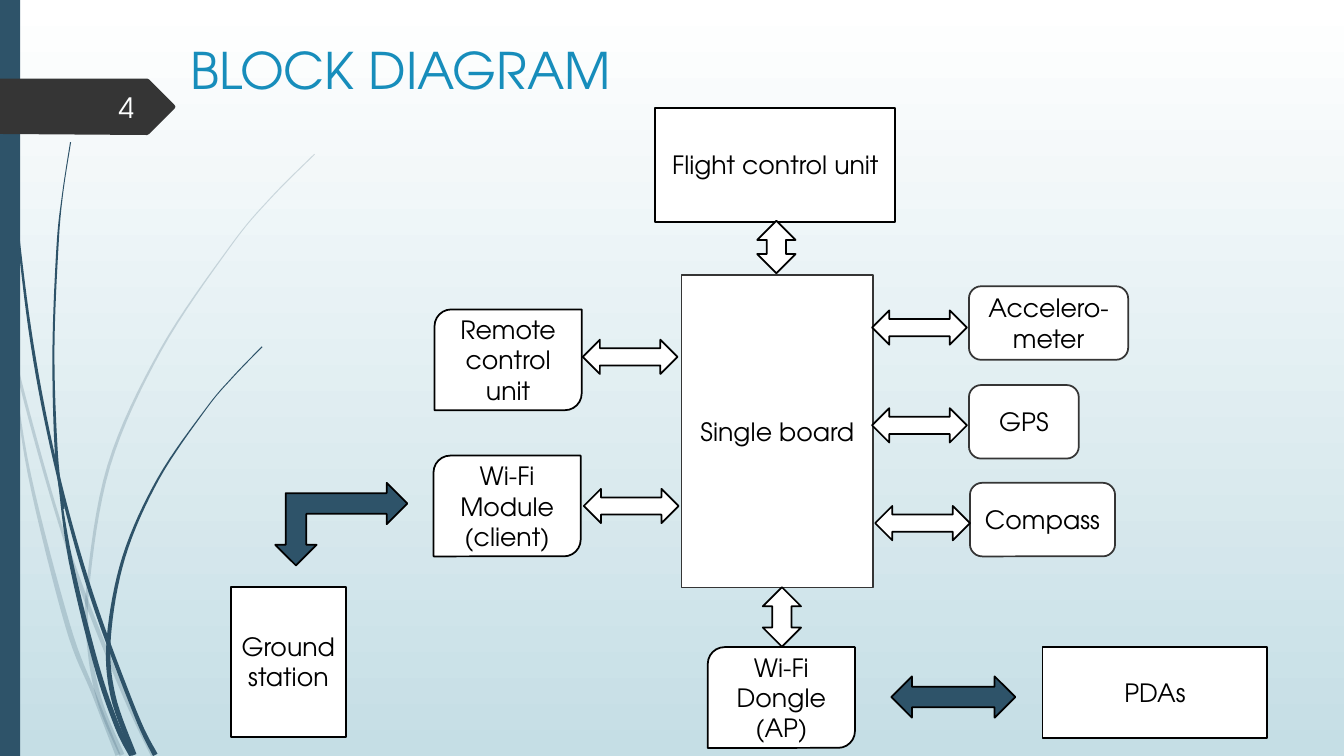
"""Builds the block diagram slide of a remote-controlled drone."""
import math

import pptx
import pptx.dml.color
import pptx.enum.shapes
import pptx.enum.text
import pptx.util
from lxml import etree

PX = 9144
WIDTH, HEIGHT = 1333, 750
FONT = "TeX Gyre Adventor"
NAVY, CHARCOAL, BLACK, WHITE = "2E5369", "353535", "000000", "FFFFFF"
BACKGROUND = ["FFFFFF", "C5DEE5"]

# Each strand lists (x, y, thickness) along its centre line.
PALE_STRANDS = [
    [(0, 290, 4), (13, 350, 3), (35, 435, 3), (60, 521, 3), (86, 597, 4), (125, 693, 4), (152, 749, 5)],
    [(11, 350, 1), (29, 470, 3), (67, 620, 5), (93, 688, 4), (117, 749, 5)],
    [(312, 153, 1), (268, 197, 1), (228, 245, 1), (159, 348, 2), (108, 462, 3),
     (87, 584, 3), (89, 646, 4), (100, 699, 5), (121, 749, 5)],
]
DARK_STRANDS = [
    [(4, 0, 1), (8, 110, 1), (18, 232, 2), (34, 355, 3), (58, 473, 3), (91, 591, 4), (134, 707, 4), (154, 749, 5)],
    [(58, 477, 1), (70, 556, 4), (95, 658, 5), (116, 720, 5), (131, 749, 6)],
    [(70, 141, 1), (62, 193, 1), (57, 245, 2), (53, 349, 2), (56, 451, 3), (63, 505, 2)],
    [(260, 344, 1), (231, 374, 1), (204, 406, 1), (157, 475, 2), (123, 552, 3),
     (108, 632, 4), (112, 690, 5), (133, 749, 5)],
]
PAGE_TAG = [(0, 78), (146, 78), (148, 79), (173, 104), (174, 106), (173, 108),
            (148, 133), (146, 134), (0, 133)]

BLOCKS = [
    ("Single board", "RECTANGLE", (676, 273, 190, 310), CHARCOAL),
    ("Accelero- meter", "ROUNDED_RECTANGLE", (961, 284, 158, 73), CHARCOAL),
    ("GPS", "ROUNDED_RECTANGLE", (961, 382, 109, 73), CHARCOAL),
    ("Compass", "ROUNDED_RECTANGLE", (962, 479, 144, 73), CHARCOAL),
    ("Flight control unit", "RECTANGLE", (650, 107, 238, 113), BLACK),
    ("Remote control unit", "ROUND_2_DIAG_RECTANGLE", (431, 307, 146, 100), BLACK),
    ("Wi-Fi Dongle\n(AP)", "ROUND_2_DIAG_RECTANGLE", (702, 642, 146, 100), BLACK),
    ("Wi-Fi Module\n(client)", "ROUND_2_DIAG_RECTANGLE", (430, 452, 146, 100), BLACK),
    ("Ground\nstation", "RECTANGLE", (229, 582, 114, 149), BLACK),
    ("PDAs", "RECTANGLE", (1034, 642, 223, 90), BLACK),
]
ARROWS = [
    ("LEFT_RIGHT_ARROW", (744, 226, 52, 38), 90, WHITE),
    ("LEFT_RIGHT_ARROW", (746, 593, 59, 38), 90, WHITE),
    ("LEFT_RIGHT_ARROW", (578, 337, 94, 34), 0, WHITE),
    ("LEFT_RIGHT_ARROW", (579, 485, 94, 34), 0, WHITE),
    ("LEFT_RIGHT_ARROW", (865, 308, 94, 34), 0, WHITE),
    ("LEFT_RIGHT_ARROW", (865, 405, 94, 34), 0, WHITE),
    ("LEFT_RIGHT_ARROW", (868, 502, 94, 34), 0, WHITE),
    ("LEFT_RIGHT_ARROW", (884, 671, 123, 41), 0, NAVY),
    ("LEFT_UP_ARROW", (273, 479, 131, 82), 180, NAVY),
]


def rgb(value):
    return pptx.dml.color.RGBColor.from_string(value)


def emu(box):
    return [round(v * PX) for v in box]


def paint(sp, fill, line=None, alpha=None):
    sp.shadow.inherit = False
    sp.fill.solid()
    sp.fill.fore_color.rgb = rgb(fill)
    if alpha:
        color = sp.fill._xPr.find(".//" + pptx.oxml.ns.qn("a:srgbClr"))
        etree.SubElement(color, pptx.oxml.ns.qn("a:alpha"), val=str(alpha * 1000))
    if line:
        sp.line.color.rgb = rgb(line)
        sp.line.width = pptx.util.Pt(1.25)
    else:
        sp.line.fill.background()


def write(sp, text, size=18, color=BLACK, align="CENTER", anchor="MIDDLE"):
    tf = sp.text_frame
    tf.word_wrap = True
    tf.vertical_anchor = getattr(pptx.enum.text.MSO_ANCHOR, anchor)
    tf.text = text
    for p in tf.paragraphs:
        p.alignment = getattr(pptx.enum.text.PP_ALIGN, align)
        for r in p.runs:
            r.font.size = pptx.util.Pt(size)
            r.font.name = FONT
            r.font.color.rgb = rgb(color)


def add_preset(s, name, box, fill, line=None):
    kind = getattr(pptx.enum.shapes.MSO_SHAPE, name)
    sp = s.shapes.add_shape(kind, *emu(box))
    paint(sp, fill, line)
    return sp


def add_outline(s, points, fill, alpha=None):
    start, *rest = [emu(point) for point in points]
    builder = s.shapes.build_freeform(*start)
    builder.add_line_segments(rest, close=True)
    paint(builder.convert_to_shape(), fill, alpha=alpha)


def smooth(knots, steps=8):
    """Runs a Catmull-Rom curve through the knots."""
    padded = [knots[0], *knots, knots[-1]]
    curve = []
    for a, b, c, d in zip(padded, padded[1:], padded[2:], padded[3:]):
        for i in range(steps):
            t = i / steps
            curve.append([
                (2 * q + (r - p) * t + (2 * p - 5 * q + 4 * r - w) * t ** 2
                 + (3 * q - p - 3 * r + w) * t ** 3) / 2
                for p, q, r, w in zip(a, b, c, d)])
    return curve + [knots[-1]]


def strand_outline(knots):
    curve = smooth(knots)
    left, right = [], []
    for i, (x, y, thickness) in enumerate(curve):
        before, after = curve[max(i - 1, 0)], curve[min(i + 1, len(curve) - 1)]
        dx, dy = after[0] - before[0], after[1] - before[1]
        half = thickness / 2 / math.hypot(dx, dy)
        left.append((x - dy * half, y + dx * half))
        right.append((x + dy * half, y - dx * half))
    return left + right[::-1]


def main():
    prs = pptx.Presentation()
    prs.slide_width, prs.slide_height = emu((WIDTH, HEIGHT))
    s = prs.slides.add_slide(prs.slide_layouts[6])
    fill = s.background.fill
    fill.gradient()
    fill.gradient_angle = 270
    for stop, color in zip(fill.gradient_stops, BACKGROUND):
        stop.color.rgb = rgb(color)

    for strands, alpha in ((PALE_STRANDS, 20), (DARK_STRANDS, None)):
        for knots in strands:
            add_outline(s, strand_outline(knots), NAVY, alpha)
    add_preset(s, "RECTANGLE", (0, 0, 20, HEIGHT), NAVY)
    add_outline(s, PAGE_TAG, CHARCOAL)

    title = s.shapes.add_textbox(*emu((179, 34, 975, 140)))
    write(title, "BLOCK DIAGRAM", size=36, color="178DBB", align="LEFT", anchor="TOP")
    number = s.shapes.add_textbox(*emu((58, 86, 85, 40)))
    write(number, "4", size=20, color="FEFFFF", align="RIGHT")

    for text, name, box, line in BLOCKS:
        write(add_preset(s, name, box, WHITE, line), text)
    for name, box, turn, color in ARROWS:
        add_preset(s, name, box, color, BLACK).rotation = turn
    prs.save("out.pptx")


if __name__ == "__main__":
    main()
